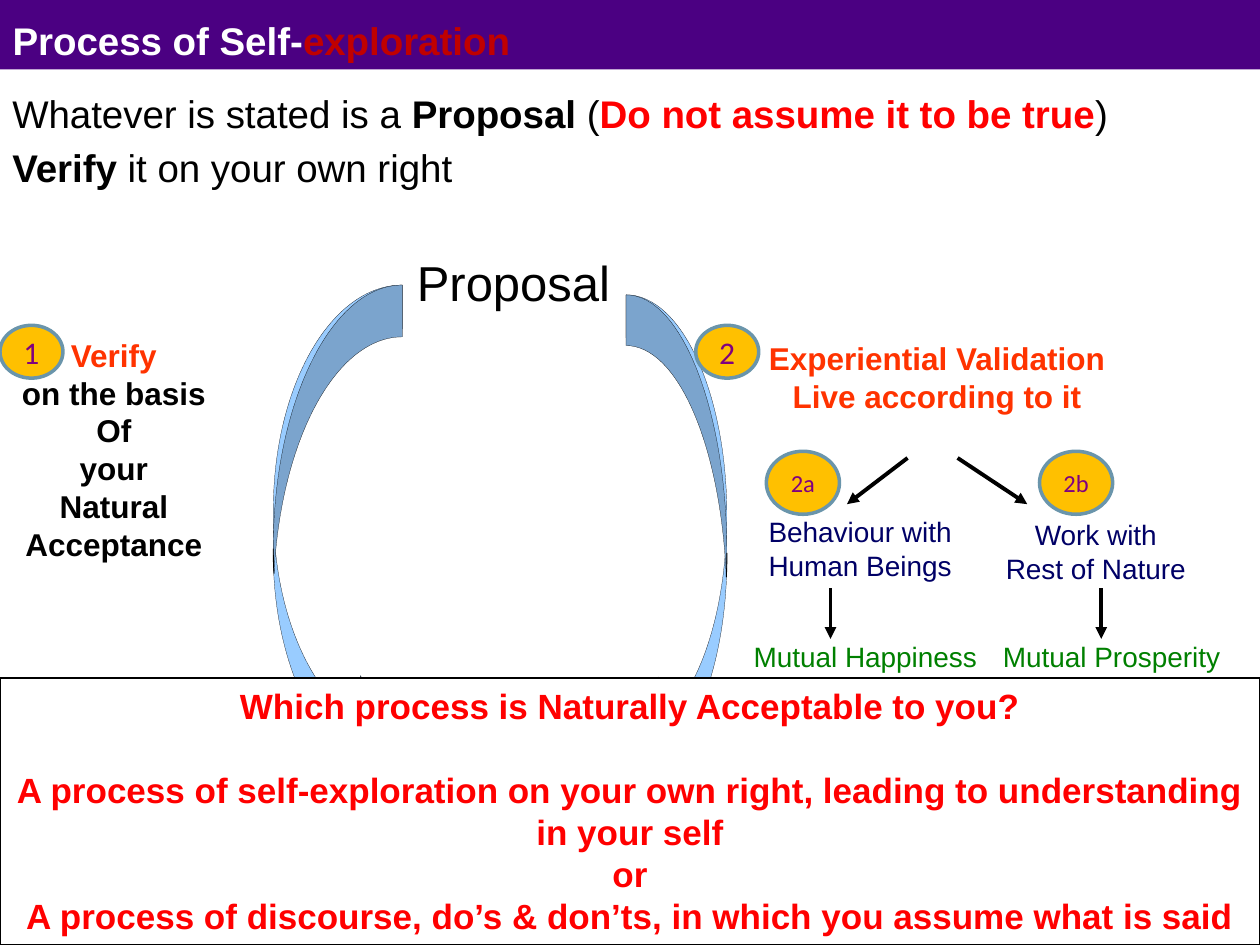
from lxml.etree import SubElement
from pptx import Presentation
from pptx.dml.color import RGBColor
from pptx.enum.shapes import MSO_CONNECTOR, MSO_SHAPE
from pptx.enum.text import MSO_ANCHOR, MSO_AUTO_SIZE, PP_ALIGN
from pptx.oxml.ns import qn
from pptx.util import Pt

COLORS = {
    "bar": "4B0082", "footer": "BEBEBE", "white": "FFFFFF", "black": "000000",
    "red": "FF0000", "dark red": "C00000", "orange": "FF3300", "navy": "000066",
    "green": "008000", "light blue": "99CCFF", "steel blue": "7BA4CD",
    "badge": "FFC000", "badge line": "6A95AB", "badge text": "800080",
}
LEFT, CENTER = PP_ALIGN.LEFT, PP_ALIGN.CENTER

# Percent of the arrow's box: inner edge (0) to outer edge (100), top (0) to tip (100).
# A segment of one point is a line, a segment of three is a Bezier curve.
ARROW_FOLD = [(100, 51.2), (100, 52.6), (99.4, 54.5)]
ARROW_OUTLINE = [
    [(0, 0)], [(55, 0), (100, 19), (100, 42.6)], [(100, 51)],
    [(100, 69), (72.5, 85.2), (32.4, 91.2)],
    [(32.4, 100)], [(0, 89.3)], [(32.4, 73.8)], [(32.4, 82.9)],
    [(69.6, 77.4), (96, 63.3), (99.4, 46.7)],
    [(94, 25), (51, 8.3), (0, 8.3)],
]
ARROW_SHADE = [
    [(0, 0)], [(55, 0), (100, 22.4), (100, 49.8)], ARROW_FOLD,
    [(94, 29), (51, 9.8), (0, 9.8)],
]
ARROW_EDGE = [[(100, 49.8)], ARROW_FOLD]


def color(name):
    return RGBColor.from_string(COLORS[name])


def paint(shape, fill, line=None, width=0):
    shape.shadow.inherit = False
    if fill:
        shape.fill.solid()
        shape.fill.fore_color.rgb = color(fill)
    else:
        shape.fill.background()
    if line:
        shape.line.color.rgb = color(line)
        shape.line.width = Pt(width)
    else:
        shape.line.fill.background()


def write(frame, paragraphs, size, align=LEFT, font="Arial"):
    """Fill a frame with paragraphs, each a list of (text, color, bold) runs."""
    for index, runs in enumerate(paragraphs):
        paragraph = frame.paragraphs[0] if index == 0 else frame.add_paragraph()
        paragraph.alignment = align
        for text, color_name, bold in runs:
            run = paragraph.add_run()
            run.text = text
            run.font.name = font
            run.font.size = Pt(size)
            run.font.bold = bold
            run.font.color.rgb = color(color_name)


def set_margins(frame, margin):
    frame.margin_left = frame.margin_right = Pt(margin)
    frame.margin_top = frame.margin_bottom = Pt(margin)


def add_label(slide, box, paragraphs, size, align=CENTER):
    frame = slide.shapes.add_textbox(*map(Pt, box)).text_frame
    frame.word_wrap = False
    set_margins(frame, 0)
    write(frame, paragraphs, size, align)


def add_badge(slide, box, text, size):
    badge = slide.shapes.add_shape(MSO_SHAPE.OVAL, *map(Pt, box))
    paint(badge, "badge", "badge line", 2)
    frame = badge.text_frame
    set_margins(frame, 0)
    frame.vertical_anchor = MSO_ANCHOR.MIDDLE
    write(frame, [[(text, "badge text", False)]], size, CENTER, "Calibri")


def add_arrow(slide, start, end):
    arrow = slide.shapes.add_connector(MSO_CONNECTOR.STRAIGHT, *map(Pt, start + end))
    arrow.line.color.rgb = color("black")
    arrow.line.width = Pt(2.25)
    SubElement(arrow.line._get_or_add_ln(), qn("a:tailEnd"), type="triangle")
    SubElement(arrow._element.spPr, qn("a:effectLst"))


def add_curved_outline(slide, segments, closed):
    """Build a freeform through all points, then turn each triple into a Bezier curve."""
    points = [point for segment in segments for point in segment]
    builder = slide.shapes.build_freeform(*points[0])
    builder.add_line_segments(points[1:], close=closed)
    shape = builder.convert_to_shape()
    lines = iter(list(shape._element.iter(qn("a:lnTo"))))
    for segment in segments[1:]:
        first, *others = [next(lines) for _ in segment]
        if others:
            first.tag = qn("a:cubicBezTo")
            for line in others:
                first.append(line[0])
                line.getparent().remove(line)
    return shape


def add_curved_arrow(slide, box, bulges_left):
    left, top, width, height = box
    inner, reach = (left + width, -width) if bulges_left else (left, width)
    for segments, fill, line_width in ((ARROW_OUTLINE, "light blue", 0.1),
                                       (ARROW_SHADE, "steel blue", 0.1),
                                       (ARROW_EDGE, None, 0.5)):
        placed = [[(Pt(inner + reach * u / 100), Pt(top + height * v / 100)) for u, v in segment]
                  for segment in segments]
        shape = add_curved_outline(slide, placed, fill is not None)
        paint(shape, fill, "black", line_width)


def add_band(slide, box, fill):
    """Place a plain band behind everything else."""
    band = slide.shapes.add_shape(MSO_SHAPE.RECTANGLE, *map(Pt, box))
    paint(band, fill)
    slide.shapes._spTree.insert(2, band._element)


def add_header(slide, box):
    left, top, width, height = box
    add_band(slide, box, "bar")
    title = slide.shapes.title
    title.left, title.top, title.width, title.height = map(Pt, (left, top + 6.2, width, 30.24))
    frame = title.text_frame
    frame.auto_size = MSO_AUTO_SIZE.NONE
    frame.vertical_anchor = MSO_ANCHOR.TOP
    write(frame, [[("Process of Self-", "white", True), ("exploration", "dark red", True)]], 22)


def add_introduction(slide, box):
    frame = slide.shapes.add_textbox(*map(Pt, box)).text_frame
    frame.word_wrap = True
    write(frame, [
        [("Whatever is stated is a ", "black", False), ("Proposal", "black", True),
         (" (", "black", False), ("Do not assume it to be true", "red", True),
         (")", "black", False)],
        [("Verify", "black", True), (" it on your own right", "black", False)],
    ], 22)
    frame.paragraphs[1].space_before = Pt(4.8)


def add_proposal_loop(slide, box):
    left, top, width, height = box
    add_label(slide, (left + 82, top, 111.6, 34), [[("Proposal", "black", False)]], 28, LEFT)
    add_curved_arrow(slide, (left, top + 18.9, 73.7, 302.4), True)
    add_curved_arrow(slide, (left + width - 57.6, top + 24.5, 57.6, 296), False)


def add_verification(slide, box):
    left, top, width, height = box
    lines = ["on the basis", "Of", "your", "Natural", "Acceptance"]
    add_label(slide, (left + 12.2, top + 6, width - 12.2, height - 6),
              [[("Verify", "orange", True)]] + [[(line, "black", True)] for line in lines], 18)
    add_badge(slide, (left, top, 36, 30.2), "1", 18)


def add_branch(slide, box, badge_left, badge, activity, activity_top, result, result_left, stem):
    """Place one branch: numbered activity, arrow down, result."""
    left, top, width, height = box
    add_label(slide, (left, top + activity_top, width, 39),
              [[(line, "navy", False)] for line in activity], 16)
    add_arrow(slide, (stem, top + 78.2), (stem, top + 107.2))
    add_label(slide, (result_left, top + 107.4, 128, 19.5), [[(result, "green", False)]], 16, LEFT)
    add_badge(slide, (badge_left, top, 41.8, 36), badge, 14)


def add_validation(slide, box):
    left, top, width, height = box
    lines = ["Experiential Validation", "Live according to it"]
    add_label(slide, (left + 41, top + 8, 193.7, 70.6), [[(line, "orange", True)] for line in lines], 18)
    add_badge(slide, (left, top, 36, 30.2), "2", 18)
    add_arrow(slide, (left + 121, top + 75.8), (left + 86.4, top + 102.2))
    add_arrow(slide, (left + 149.6, top + 75.8), (left + 189.4, top + 102.2))
    add_branch(slide, (left + 41, top + 72, 105.8, height - 72), left + 40.3, "2a",
               ["Behaviour with", "Human Beings"], 36.2, "Mutual Happiness", left + 33, left + 77)
    add_branch(slide, (left + 176.4, top + 72, 104.4, height - 72), left + 196.4, "2b",
               ["Work with", "Rest of Nature"], 37.8, "Mutual Prosperity", left + 175.5, left + 231.7)


def add_question(slide, box):
    panel = slide.shapes.add_shape(MSO_SHAPE.RECTANGLE, *map(Pt, box))
    paint(panel, "white", "black", 0.75)
    frame = panel.text_frame
    frame.word_wrap = True
    frame.vertical_anchor = MSO_ANCHOR.TOP
    lines = [
        "Which process is Naturally Acceptable to you?",
        "A process of self-exploration on your own right, leading to understanding in your self",
        "or",
        "A process of discourse, do’s & don’ts, in which you assume what is said",
    ]
    write(frame, [[(line, "red", True)] for line in lines], 20, CENTER)
    frame.paragraphs[1].space_before = Pt(24)


def main():
    presentation = Presentation()
    presentation.slide_width, presentation.slide_height = Pt(720), Pt(540)
    slide = presentation.slides.add_slide(presentation.slide_layouts[5])
    add_band(slide, (0, 517.7, 720, 22.3), "footer")
    add_header(slide, (0, 0, 720, 39.6))
    add_introduction(slide, (0, 47.8, 720, 468))
    add_proposal_loop(slide, (156.2, 144, 259.2, 321))
    add_verification(slide, (0, 185.9, 118, 137.5))
    add_validation(slide, (397.6, 185.9, 302, 199))
    add_question(slide, (0, 387.4, 720, 152.6))
    presentation.save("out.pptx")


if __name__ == "__main__":
    main()
